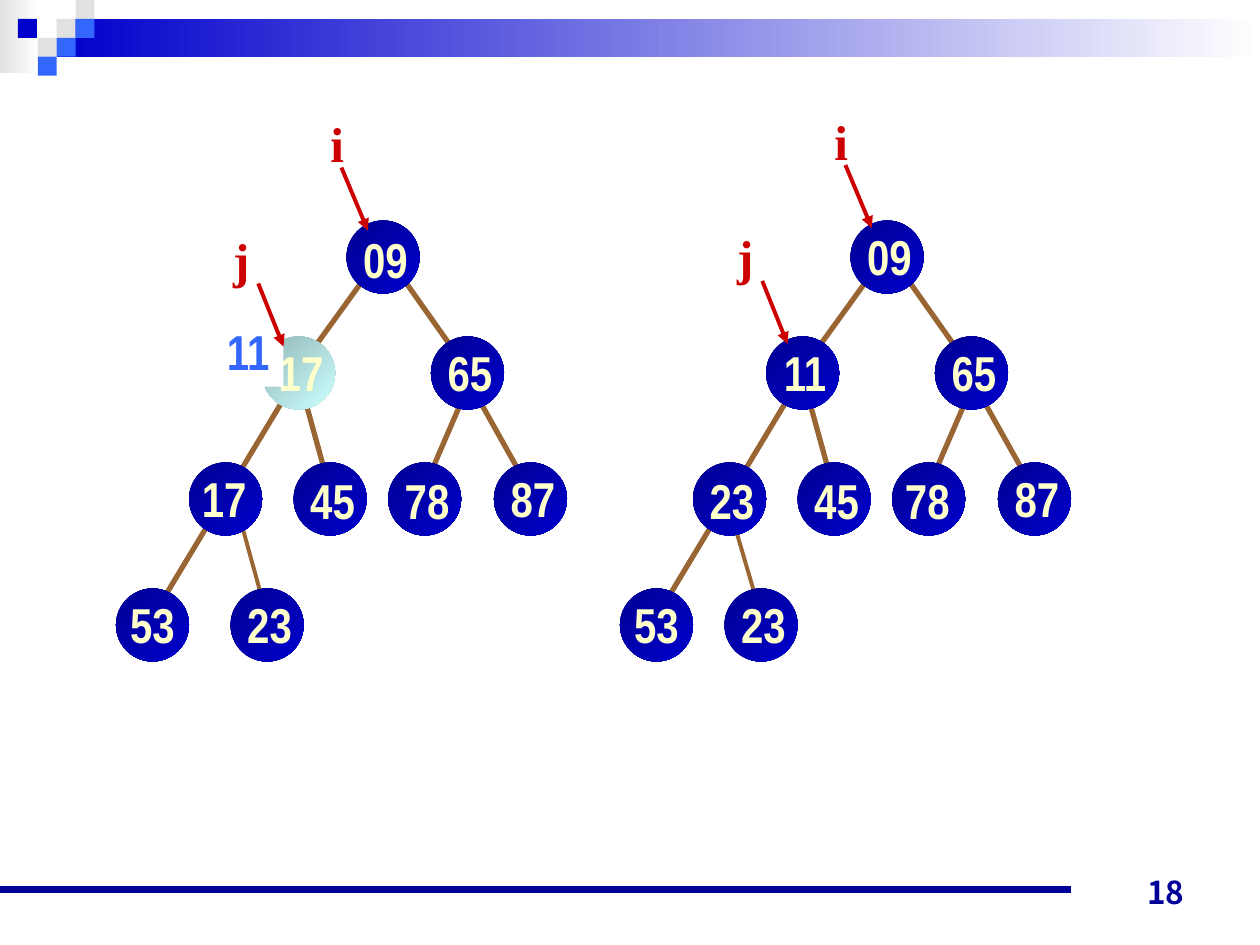
from dataclasses import dataclass

from lxml.etree import SubElement
from pptx import Presentation
from pptx.dml.color import RGBColor
from pptx.enum.shapes import MSO_CONNECTOR, MSO_SHAPE
from pptx.enum.text import MSO_ANCHOR, PP_ALIGN
from pptx.oxml.ns import qn
from pptx.util import Inches, Pt

COLORS = {
    "navy": "000099", "node_dark": "000092", "blue": "0000CC",
    "teal_dark": "92B6B6", "teal": "CCFFFF", "sky": "3366FF",
    "gray": "E1E1E1", "white": "FFFFFF", "cream": "FFFFCC",
    "brown": "996633", "red": "CC0000",
}
NARROW, SERIF, SANS = "Arial Narrow", "Times New Roman", "Noto Sans CJK JP"
NODE = 0.58
LABEL_W, LABEL_H = 0.56, 0.57
TILE = 0.15


@dataclass
class Node:
    label: str
    x: float
    y: float
    dx: float = 0.03
    dy: float = 0.0
    fill: tuple[str, str] = ("node_dark", "blue")


@dataclass
class Edge:
    x1: float
    y1: float
    x2: float
    y2: float
    width: float = 3


@dataclass
class Tree:
    x: float
    nodes: list[Node]
    last_edge: Edge
    pointer_dy: float


def rgb(name: str) -> RGBColor:
    return RGBColor.from_string(COLORS[name])


def add_filled(kind, x: float, y: float, w: float, h: float, *fill: str, angle: float = 0):
    """One colour gives a solid fill, two give a gradient."""
    sp = s.shapes.add_shape(kind, Inches(x), Inches(y), Inches(w), Inches(h))
    sp.shadow.inherit = False
    sp.line.fill.background()
    if len(fill) == 1:
        sp.fill.solid()
        sp.fill.fore_color.rgb = rgb(fill[0])
    else:
        sp.fill.gradient()
        sp.fill.gradient_angle = angle
        for stop, name in zip(sp.fill.gradient_stops, fill):
            stop.color.rgb = rgb(name)
    return sp


def add_line(edge: Edge, color: str, dx: float = 0, dy: float = 0, arrow: bool = False) -> None:
    line = s.shapes.add_connector(
        MSO_CONNECTOR.STRAIGHT, Inches(edge.x1 + dx), Inches(edge.y1 + dy),
        Inches(edge.x2 + dx), Inches(edge.y2 + dy))
    line.line.color.rgb = rgb(color)
    line.line.width = Pt(edge.width)
    if arrow:
        SubElement(line.line._get_or_add_ln(), qn("a:tailEnd"), type="triangle")
    SubElement(line._element.spPr, qn("a:effectLst"))


def write(sp, text: str, color: str, font: str = NARROW, size: float = 28,
          align=PP_ALIGN.CENTER, anchor=MSO_ANCHOR.MIDDLE, wrap: bool = False) -> None:
    tf = sp.text_frame
    tf.word_wrap = wrap
    tf.vertical_anchor = anchor
    p = tf.paragraphs[0]
    p.alignment = align
    r = p.add_run()
    r.text = text
    r.font.name, r.font.size, r.font.bold = font, Pt(size), True
    r.font.color.rgb = rgb(color)


def add_text(x: float, y: float, w: float, h: float, text: str, color: str, **style) -> None:
    sp = s.shapes.add_textbox(Inches(x), Inches(y), Inches(w), Inches(h))
    write(sp, text, color, **style)


prs = Presentation()
prs.slide_width, prs.slide_height = Inches(10), Inches(7.5)
s = prs.slides.add_slide(prs.slide_layouts[6])

# Header band and tiles
add_filled(MSO_SHAPE.RECTANGLE, 0, 0, 0.31, 0.58, "gray", "white")
add_filled(MSO_SHAPE.RECTANGLE, 0.45, 0.15, 9.55, 0.3, "blue", "white")
for col, row, color in [(3, 1, "gray"), (4, 0, "gray"), (4, 1, "sky"), (2, 2, "gray"),
                        (0.95, 1, "blue"), (3, 2, "sky"), (2, 3, "sky")]:
    add_filled(MSO_SHAPE.RECTANGLE, col * TILE, row * TILE, TILE, TILE, color)

# Footer rule and page number
add_line(Edge(0, 7.06, 8.5, 7.06, 4.5), "navy")
add_text(7.17, 6.78, 2.33, 0.5, "18", "navy", font=SANS, size=18,
         align=PP_ALIGN.RIGHT, anchor=MSO_ANCHOR.BOTTOM, wrap=True)

# Both heaps share edges, nodes and pointers
EDGES = [
    Edge(3.75, 3.08, 4.17, 3.83), Edge(3.67, 3.17, 3.42, 3.75),
    Edge(3.17, 2.17, 3.58, 2.75), Edge(2.42, 3.17, 2.58, 3.75),
    Edge(2.92, 2.17, 2.5, 2.75), Edge(2.25, 3.17, 1.25, 4.83),
]
SHARED = [
    Node("45", 2.33, 3.67, dy=0.01), Node("65", 3.42, 2.67),
    Node("87", 3.92, 3.67), Node("53", 0.92, 4.67, dx=0.01),
]
POINTERS = [
    ("i", 2.52, 0.85, 0.31, Edge(2.71, 1.33, 2.92, 1.83, 2.25)),
    ("j", 1.75, 1.77, 0.33, Edge(2.05, 2.25, 2.25, 2.75, 2.25)),
]
TREES = [
    Tree(0, SHARED + [
        Node("09", 2.75, 1.75, dy=0.02),
        Node("17", 2.08, 2.67, fill=("teal_dark", "teal")),
        Node("17", 1.5, 3.67, dx=0), Node("78", 3.08, 3.67, dy=0.01),
        Node("23", 1.83, 4.67),
    ], Edge(1.92, 4.17, 2.08, 4.75, 2.25), 0),
    Tree(4, SHARED + [
        Node("09", 2.75, 1.75), Node("11", 2.08, 2.67),
        Node("23", 1.5, 3.67, dy=0.01), Node("78", 3.08, 3.67, dx=0, dy=0.01),
        Node("23", 1.75, 4.67),
    ], Edge(1.83, 4.17, 2, 4.75, 2.25), -0.02),
]

for tree in TREES:
    for edge in [tree.last_edge] + EDGES:
        add_line(edge, "brown", tree.x)
    for node in tree.nodes:
        add_filled(MSO_SHAPE.OVAL, tree.x + node.x, node.y, NODE, NODE, *node.fill, angle=315)
    for node in tree.nodes:
        add_text(tree.x + node.x + node.dx, node.y + node.dy, LABEL_W, LABEL_H,
                 node.label, "cream")

# Value being moved up
moved = add_filled(MSO_SHAPE.RECTANGLE, 1.69, 2.5, LABEL_W, LABEL_H, "white")
write(moved, "11", "sky")

# Index pointers
for tree in TREES:
    for name, x, y, w, arrow in POINTERS:
        # The j label sits level with its rule in both heaps
        dy = tree.pointer_dy
        add_text(tree.x + x, y + dy, w, LABEL_H, name, "red", font=SERIF)
        add_line(arrow, "red", tree.x, dy, arrow=True)

prs.save("out.pptx")
